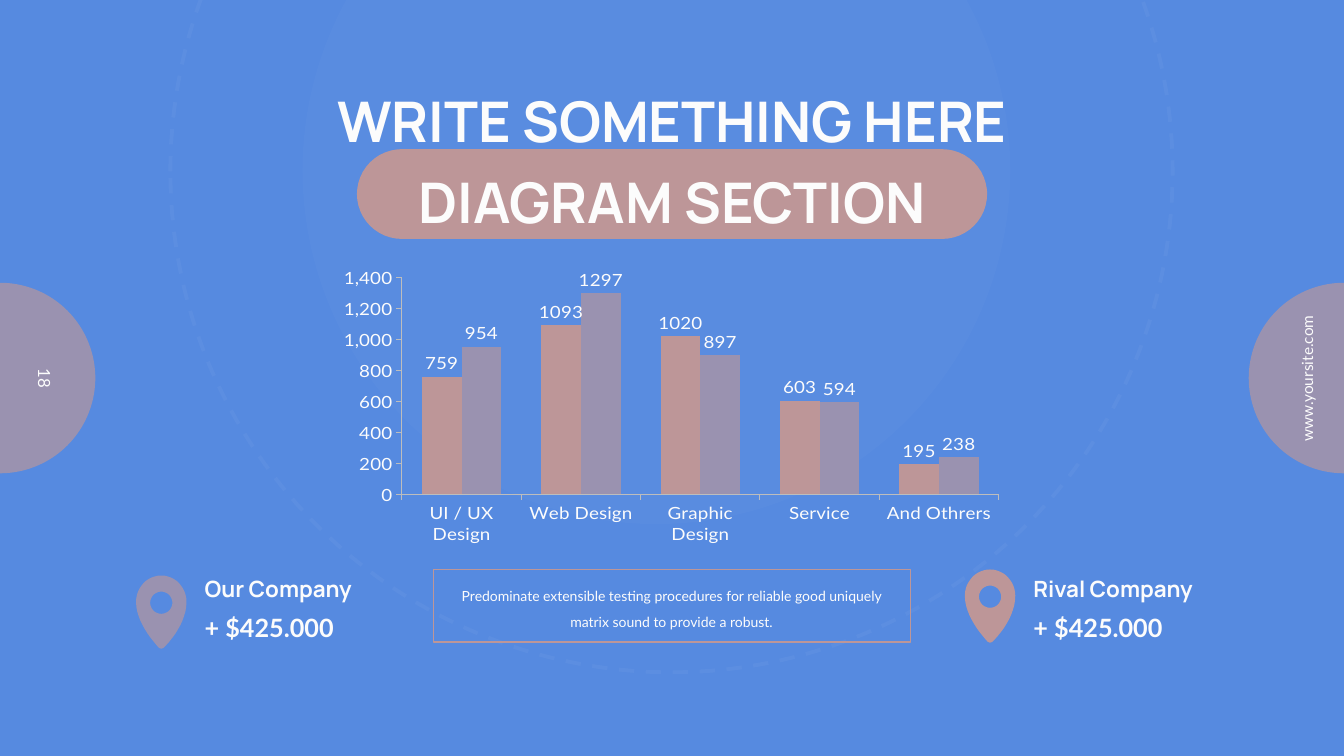
from lxml import etree
from pptx import Presentation
from pptx.chart.data import CategoryChartData
from pptx.dml.color import RGBColor
from pptx.enum.chart import XL_CHART_TYPE, XL_LABEL_POSITION, XL_TICK_MARK
from pptx.enum.dml import MSO_LINE
from pptx.enum.shapes import MSO_SHAPE
from pptx.enum.text import MSO_ANCHOR, MSO_AUTO_SIZE, PP_ALIGN
from pptx.oxml.ns import qn
from pptx.util import Inches, Pt

OVAL, RECT, PILL = MSO_SHAPE.OVAL, MSO_SHAPE.RECTANGLE, MSO_SHAPE.ROUNDED_RECTANGLE
CENTER, LEFT = PP_ALIGN.CENTER, PP_ALIGN.LEFT
COLUMNS = XL_CHART_TYPE.COLUMN_CLUSTERED
OUTSIDE_END, TICK_OUT = XL_LABEL_POSITION.OUTSIDE_END, XL_TICK_MARK.OUTSIDE
TOP, MIDDLE = MSO_ANCHOR.TOP, MSO_ANCHOR.MIDDLE
C = {name: RGBColor.from_string(value) for name, value in {
    "blue": "568AE0", "mauve": "9A92B0", "rose": "BD9698",
    "white": "FCFCFC", "axis": "BDBDBD"}.items()}
W, H = 13.33, 7.5


def add_form(kind, x, y, w, h, fill=None, line=None, width=1, alpha=None):
    sp = s.shapes.add_shape(kind, Inches(x), Inches(y), Inches(w), Inches(h))
    sp.shadow.inherit = False
    if fill:
        sp.fill.solid()
        sp.fill.fore_color.rgb = C[fill]
    else:
        sp.fill.background()
    if line:
        sp.line.color.rgb = C[line]
        sp.line.width = Pt(width)
    else:
        sp.line.fill.background()
    if alpha:
        color = next(sp._element.spPr.iter(qn("a:srgbClr")))
        etree.SubElement(color, qn("a:alpha")).set("val", str(alpha * 1000))
    return sp


def add_text(shapes, x, y, w, h, text, size, font="Lato", bold=False,
             align=LEFT, spacing=None):
    sp = shapes.add_textbox(Inches(x), Inches(y), Inches(w), Inches(h))
    tf = sp.text_frame
    tf.word_wrap = True
    tf.margin_left = tf.margin_right = tf.margin_top = tf.margin_bottom = 0
    tf.text = text
    p = tf.paragraphs[0]
    p.alignment = align
    p.line_spacing = spacing
    r = p.runs[0]
    r.font.name, r.font.size, r.font.bold = font, Pt(size), bold
    r.font.color.rgb = C["white"]
    return sp


prs = Presentation()
prs.slide_width, prs.slide_height = Inches(W), Inches(H)
s = prs.slides.add_slide(prs.slide_layouts[5])
s.background.fill.solid()
s.background.fill.fore_color.rgb = C["blue"]

side = 1.89
for center in (0, W):
    add_form(OVAL, center - side / 2, (H - side) / 2, side, side, "mauve")
number = add_text(s.shapes, -0.03, 3.31, 0.95, 0.89, "18", 12, align=CENTER)
number.text_frame.vertical_anchor = MIDDLE
number.rotation = 90
site = add_text(s.shapes, 12.23, 3.66, 1.47, 0.19, "www.yoursite.com", 11, align=CENTER)
site.text_frame.word_wrap = False
site.rotation = 270

add_form(OVAL, 3, -1.82, 7.02, 7.02, "white", alpha=2)
ring = add_form(OVAL, 1.69, -3.27, 9.94, 9.94, line="white", width=2.75, alpha=4)
ring.line.dash_style = MSO_LINE.DASH
pill = add_form(PILL, 3.54, 1.48, 6.25, 0.89, "rose")
pill.adjustments[0] = 0.5

title = s.shapes.title
title.left, title.top = Inches(1.35), Inches(0.73)
title.width, title.height = Inches(10.63), Inches(1.51)
tf = title.text_frame
tf.auto_size = MSO_AUTO_SIZE.NONE
tf.word_wrap = True
tf.vertical_anchor = TOP
tf.margin_left = tf.margin_right = tf.margin_top = tf.margin_bottom = 0
tf.text = "WRITE SOMETHING HERE\nDIAGRAM SECTION"
for p in tf.paragraphs:
    p.alignment = CENTER
    p.line_spacing = 1.2
    p.space_before = Pt(0)
    font = p.runs[0].font
    font.name, font.size, font.bold = "Manrope", Pt(40), True
    font.color.rgb = C["white"]
s.shapes._spTree.append(title._element)

data = CategoryChartData()
data.categories = ["UI / UX Design", "Web Design", "Graphic Design", "Service", "And Othrers"]
data.add_series("Series 1", (759, 1093, 1020, 603, 195))
data.add_series("Series 2", (954, 1297, 897, 594, 238))
chart = s.shapes.add_chart(COLUMNS, Inches(3.41), Inches(2.65), Inches(6.5), Inches(2.75), data).chart
chart.has_title = chart.has_legend = False
chart.font.name, chart.font.size = "Lato", Pt(14)
chart.font.color.rgb = C["white"]
for axis in (chart.category_axis, chart.value_axis):
    axis.has_major_gridlines = False
    axis.major_tick_mark = TICK_OUT
    axis.format.line.color.rgb = C["axis"]
    axis.format.line.width = Pt(0.75)
chart.value_axis.tick_labels.number_format = "#,##0"
chart.value_axis.tick_labels.number_format_is_linked = False
plot = chart.plots[0]
plot.gap_width, plot.overlap, plot.vary_by_categories = 100, 0, False
for series, name in zip(plot.series, ("rose", "mauve")):
    series.format.fill.solid()
    series.format.fill.fore_color.rgb = C[name]
    labels = series.data_labels
    labels.show_value = True
    labels.position = OUTSIDE_END
    labels.font.name, labels.font.size = "Lato", Pt(14)
    labels.font.color.rgb = C["white"]

area = chart._chartSpace.find(".//" + qn("c:plotArea"))
for old in area.findall(qn("c:layout")):
    area.remove(old)
layout = etree.Element(qn("c:layout"))
area.insert(0, layout)
manual = etree.SubElement(layout, qn("c:manualLayout"))
for tag, value in (("layoutTarget", "inner"), ("xMode", "edge"), ("yMode", "edge"),
                   ("x", 0.086), ("y", 0.034), ("w", 0.951), ("h", 0.915)):
    etree.SubElement(manual, qn("c:" + tag)).set("val", str(value))

add_text(s.shapes, 4.49, 5.75, 4.34, 0.47,
         "Predominate extensible testing procedures for reliable good uniquely "
         "matrix sound to provide a robust.", 10, align=CENTER, spacing=1.5)

pin_curves = [
    [(250, 0), (110, 0), (0, 120), (0, 260), (0, 460), (160, 640), (220, 710),
     (240, 730), (260, 730), (280, 710), (350, 640), (500, 460), (500, 260),
     (500, 120), (390, 0), (250, 0)],
    [(250, 380), (190, 380), (140, 330), (140, 270), (140, 210), (190, 160), (250, 160),
     (310, 160), (360, 210), (360, 270), (360, 330), (310, 380), (250, 380)]]
outlines = []
for curve in pin_curves:
    points = [curve[0]]
    for i in range(0, len(curve) - 1, 3):
        for t in (step / 12 for step in range(1, 13)):
            weights = ((1 - t) ** 3, 3 * t * (1 - t) ** 2, 3 * t * t * (1 - t), t ** 3)
            points.append(tuple(sum(k * pt[d] for k, pt in zip(weights, curve[i:i + 4]))
                                for d in (0, 1)))
    outlines.append(points)

for x, y, company, name in ((9.57, 5.65, "Rival Company", "rose"),
                            (1.35, 5.71, "Our Company", "mauve")):
    shapes = s.shapes.add_group_shape().shapes
    add_text(shapes, x + 0.68, 6.07, 1.6, 0.3, "+ $425.000", 18, bold=True)
    add_text(shapes, x + 0.68, 5.71, 2.15, 0.27, company, 16, "Manrope", True)
    builder = shapes.build_freeform(*outlines[0][0], scale=914.4)
    builder.add_line_segments(outlines[0][1:])
    builder.move_to(*outlines[1][0])
    builder.add_line_segments(outlines[1][1:])
    pin = builder.convert_to_shape(Inches(x), Inches(y))
    pin.shadow.inherit = False
    pin.fill.solid()
    pin.fill.fore_color.rgb = C[name]
    pin.line.fill.background()

add_form(RECT, 4.3, 5.65, 4.73, 0.72, line="rose")
prs.save("out.pptx")
